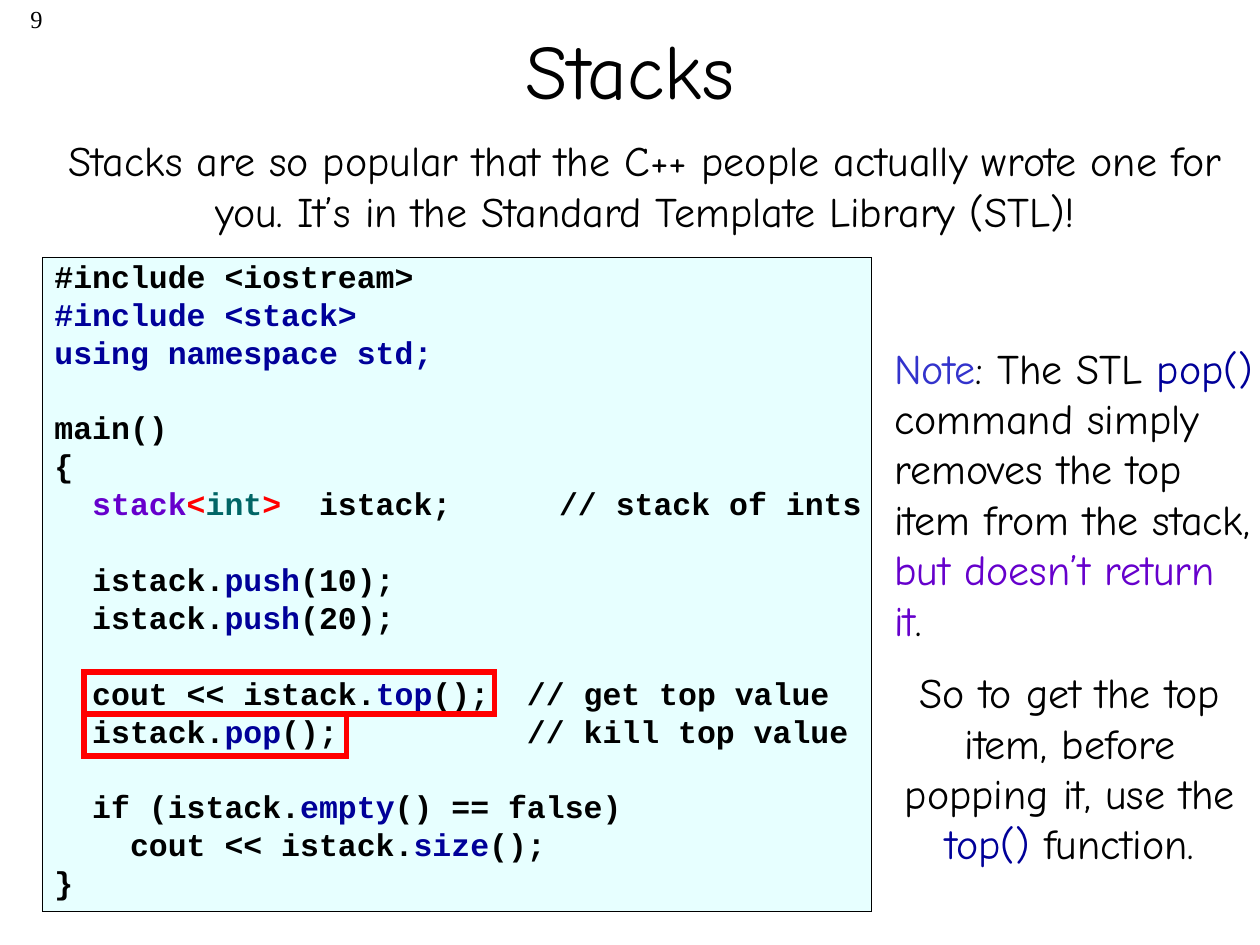
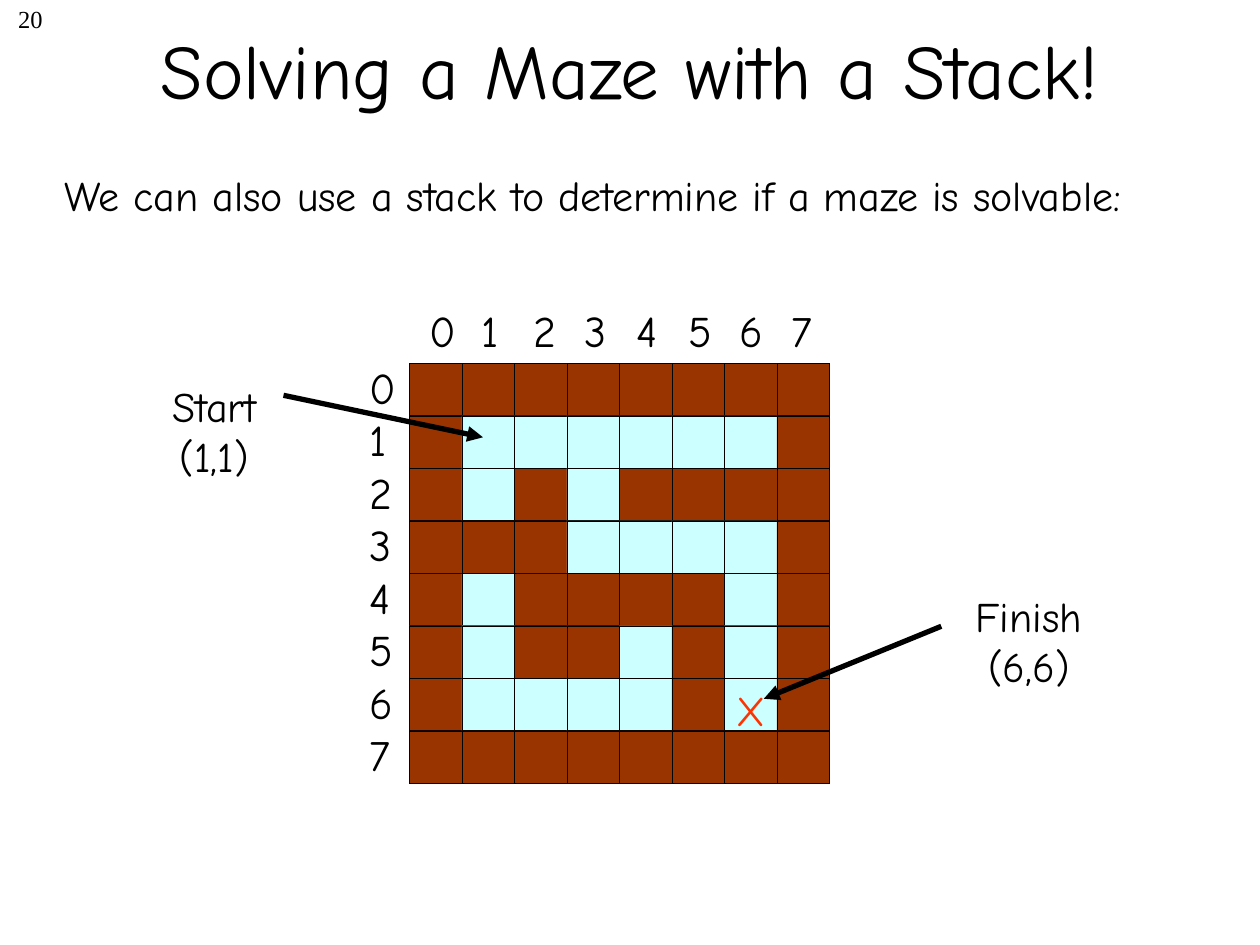
from lxml.etree import SubElement
from pptx import Presentation
from pptx.dml.color import RGBColor
from pptx.enum.shapes import MSO_CONNECTOR, MSO_SHAPE
from pptx.enum.text import MSO_ANCHOR, PP_ALIGN
from pptx.oxml.ns import qn
from pptx.util import Inches, Pt

# The slide is a grid of 24 columns by 18 rows of square units
COLUMNS, ROWS = 24, 18
UNIT = Inches(10) / COLUMNS

BLACK = RGBColor(0x00, 0x00, 0x00)
NAVY = RGBColor(0x00, 0x00, 0x99)
BLUE = RGBColor(0x33, 0x33, 0xCC)
PURPLE = RGBColor(0x66, 0x00, 0xCC)
TEAL = RGBColor(0x00, 0x66, 0x66)
RED = RGBColor(0xFF, 0x00, 0x00)
ORANGE = RGBColor(0xFF, 0x33, 0x00)
PALE_CYAN = RGBColor(0xE7, 0xFF, 0xFF)
PATH_CYAN = RGBColor(0xCC, 0xFF, 0xFF)
WALL_BROWN = RGBColor(0x99, 0x33, 0x00)

BODY_FONT, CODE_FONT, NUMBER_FONT = "Comic Neue", "Courier New", "Times New Roman"
CODE_LINE = Pt(21.65)
CODE_CHARACTER = Inches(0.15)

# Each code line: blank lines before it, its spans, tab stops in characters
CODE = [
    (0, ["#include <iostream>"], []),
    (0, [("#include <stack>", NAVY)], []),
    (0, [("using namespace std;", NAVY)], []),
    (1, ["main()"], []),
    (0, ["{"], []),
    (0, ["\t", ("stack", PURPLE), ("<", RED), ("int", TEAL), (">", RED),
         "\tistack;\t// stack of ints"], [14, 26.7]),
    (1, ["\tistack.", ("push", NAVY), "(10);"], []),
    (0, ["\tistack.", ("push", NAVY), "(20);"], []),
    (1, ["\tcout << istack.", ("top", NAVY), "();\t// get top value"], [25]),
    (0, ["\tistack.", ("pop", NAVY), "();\t// kill top value"], [25]),
    (1, ["\tif (istack.", ("empty", NAVY), "() == false)"], []),
    (0, ["\t\tcout << istack.", ("size", NAVY), "();"], [4]),
    (0, ["}"], []),
]

MAZE = [
    "########",
    "#......#",
    "#.#.####",
    "###....#",
    "#.####.#",
    "#.##.#.#",
    "#....#.#",
    "########",
]


def units(*values):
    return [round(value * UNIT) for value in values]


def inside(box, left, top, width, height):
    """Place a part relative to the corner of a box."""
    return box[0] + left, box[1] + top, width, height


def set_tabs(para, stops):
    tabs = SubElement(para._p.get_or_add_pPr(), qn("a:tabLst"))
    for stop in stops:
        SubElement(tabs, qn("a:tab"), pos=str(round(stop)), algn="l")


def add_text(shapes, box, paras, size=24, font=BODY_FONT, color=BLACK, bold=False,
             align=PP_ALIGN.LEFT, anchor=MSO_ANCHOR.TOP, wrap=True, right=0.1):
    """Each paragraph is a string or a list of strings and (text, color) spans."""
    frame = shapes.add_textbox(*units(*box)).text_frame
    frame.word_wrap = wrap
    frame.vertical_anchor = anchor
    frame.margin_right = Inches(right)
    for index, spans in enumerate(paras):
        para = frame.add_paragraph() if index else frame.paragraphs[0]
        para.alignment = align
        for part in [spans] if isinstance(spans, str) else spans:
            text, tint = (part, color) if isinstance(part, str) else part
            span = para.add_run()
            span.text = text
            span.font.name = font
            span.font.size = Pt(size)
            span.font.bold = bold
            span.font.color.rgb = tint
    return frame


def add_box(shapes, box, fill=None, line=BLACK, width=0.25):
    shape = shapes.add_shape(MSO_SHAPE.RECTANGLE, *units(*box))
    shape.shadow.inherit = False
    if fill is None:
        shape.fill.background()
    else:
        shape.fill.solid()
        shape.fill.fore_color.rgb = fill
    shape.line.color.rgb = line
    shape.line.width = Pt(width)
    SubElement(shape.line._get_or_add_ln(), qn("a:miter"), lim="800000")


def add_arrow(shapes, start, end):
    arrow = shapes.add_connector(MSO_CONNECTOR.STRAIGHT, *units(*start, *end))
    arrow.line.color.rgb = BLACK
    arrow.line.width = Pt(3)
    SubElement(arrow.line._get_or_add_ln(), qn("a:tailEnd"), type="triangle")
    SubElement(arrow._element.spPr, qn("a:effectLst"))


def add_page(deck, number, title):
    """A blank page with the shared number and title."""
    page = deck.slides.add_slide(deck.slide_layouts[6])
    add_text(page.shapes, (0, -0.05, 1.05, 1.2), [number], size=14,
             font=NUMBER_FONT, align=PP_ALIGN.RIGHT)
    add_text(page.shapes, (1.8, -0.2, 20.4, 3), [title], size=44,
             align=PP_ALIGN.CENTER, anchor=MSO_ANCHOR.MIDDLE)
    return page


def add_code(page, box):
    """Code listing with the two calls of interest outlined."""
    add_box(page.shapes, box, fill=PALE_CYAN)
    # The text is raised so that both outlines clear their lines
    frame = add_text(page.shapes, inside(box, 0, -0.13, 16.4, box[3]),
                     [spans for _, spans, _ in CODE],
                     size=18, font=CODE_FONT, bold=True)
    for para, (blanks, _, stops) in zip(frame.paragraphs, CODE):
        para.line_spacing = CODE_LINE
        para.space_before = CODE_LINE * blanks
        set_tabs(para, [stop * CODE_CHARACTER for stop in [2, *stops]])
    for top, width in ((8.7, 5), (7.9, 7.82)):
        add_box(page.shapes, inside(box, 0.8, top, width, 0.8), line=RED, width=3)


def add_maze(page, box):
    """Maze cells, row and column numbers, and the finish mark."""
    for row, cells in enumerate(MAZE):
        for column, cell in enumerate(cells):
            add_box(page.shapes, inside(box, column, row, 1, 1),
                    fill=WALL_BROWN if cell == "#" else PATH_CYAN)
    digits = [str(index) for index in range(len(MAZE))]
    add_text(page.shapes, inside(box, -1, -0.17, 1, 8.23), digits, size=25, wrap=False)
    header = add_text(page.shapes, inside(box, 0.15, -1.25, 7.92, 1.25),
                      ["\t".join(digits)], size=25, wrap=False)
    set_tabs(header.paragraphs[0], [Inches(0.41) * index for index in range(1, 8)])
    add_text(page.shapes, inside(box, 6, 6, 1.05, 1.2), ["X"], color=ORANGE, wrap=False)


def add_callout(page, box, lines, start, end):
    """Label and arrow, with the arrow's ends relative to the label."""
    group = page.shapes.add_group_shape()
    add_text(group.shapes, box, lines, align=PP_ALIGN.CENTER)
    ends = [(box[0] + x, box[1] + y) for x, y in (start, end)]
    add_arrow(group.shapes, *ends)


def stacks_page(deck):
    page = add_page(deck, "9", "Stacks")
    add_text(page.shapes, (0.8, 2.45, 22.97, 2.16),
             ["Stacks are so popular that the C++ people actually wrote one for you. "
              "It’s in the Standard Template Library (STL)!"], align=PP_ALIGN.CENTER)
    add_code(page, (0.8, 4.9, 15.8, 12.46))
    # Side notes
    add_text(page.shapes, (16.8, 6.4, 7.2, 6),
             [[("Note", BLUE), ": The STL ", ("pop()", NAVY),
               " command simply removes the top item from the stack, ",
               ("but doesn’t return it", PURPLE), "."]], right=0.05)
    add_text(page.shapes, (16.95, 12.58, 6.86, 5.04),
             [["So to get the top item, before popping it, use the ",
               ("top()", NAVY), " function."]], align=PP_ALIGN.CENTER)


def maze_page(deck):
    page = add_page(deck, "20", "Solving a Maze with a Stack!")
    add_text(page.shapes, (1, 3.12, 21.4, 2.16),
             ["We can also use a stack to determine if a maze is solvable:"])
    add_maze(page, (7.8, 6.92, 8, 8))
    add_callout(page, (2.8, 7.13, 2.57, 2.16), ["Start", "(1,1)"],
                start=(2.6, 0.4), end=(6.4, 1.2))
    add_callout(page, (18, 11.13, 3.2, 2.16), ["Finish", "(6,6)"],
                start=(-0.07, 0.8), end=(-3.45, 2.18))


def main():
    deck = Presentation()
    deck.slide_width, deck.slide_height = units(COLUMNS, ROWS)
    stacks_page(deck)
    maze_page(deck)
    deck.save("out.pptx")


if __name__ == "__main__":
    main()
